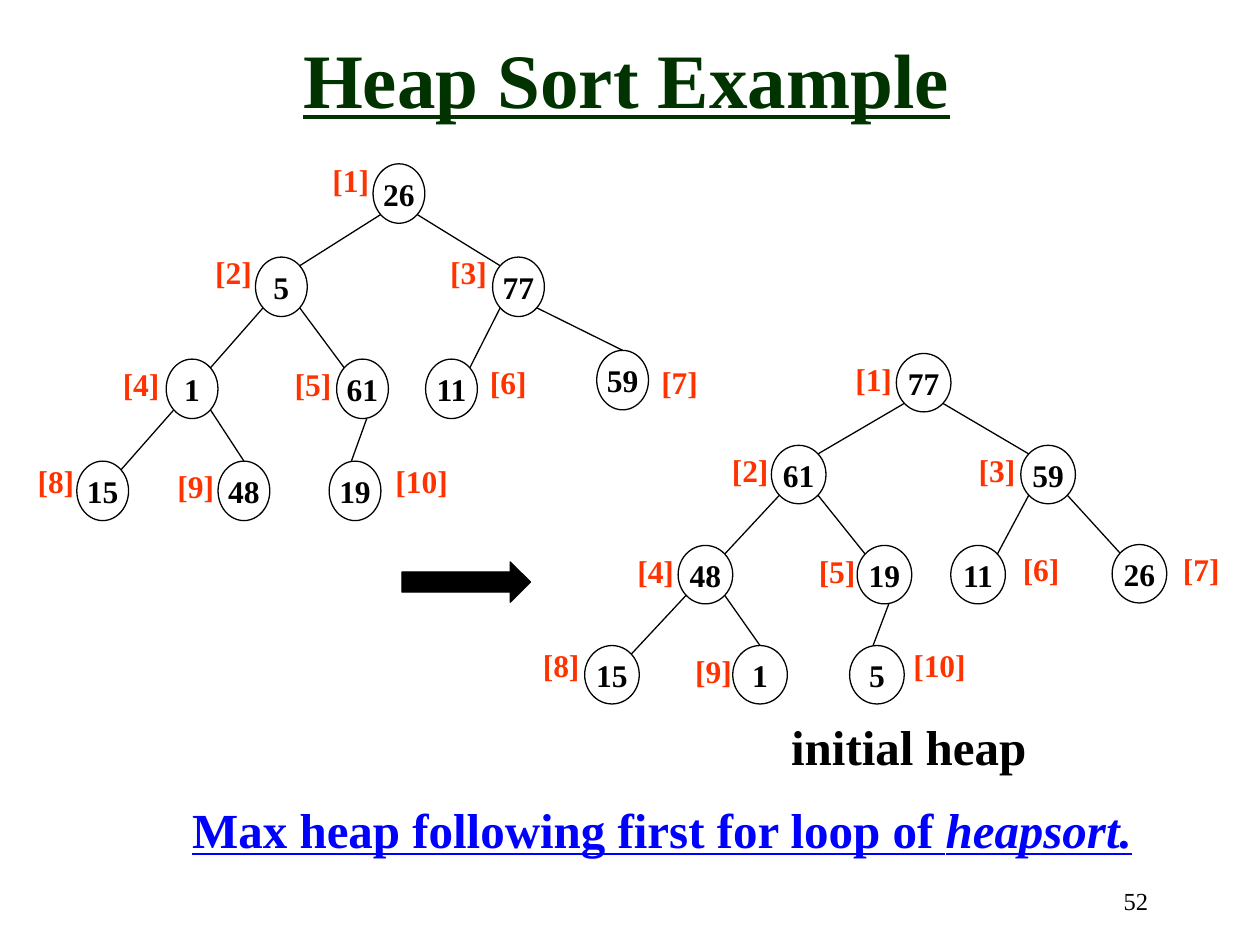
import pptx
import pptx.util
import pptx.dml.color
import pptx.enum.shapes
import pptx.enum.text
import lxml.etree

Pt = pptx.util.Pt
SHAPE = pptx.enum.shapes.MSO_SHAPE
ALIGN = pptx.enum.text.PP_ALIGN
MIDDLE = pptx.enum.text.MSO_ANCHOR.MIDDLE
FONT = "Times New Roman"
COLORS = {"ink": "000000", "label": "FF3300", "head": "003300", "note": "0000FF"}

# Heap nodes in index order: key, node left, node top, label left, label top
FIRST = {
    "size": (29.6, 34),
    "nodes": [
        ("26", 213.2, 93.6, 182.9, 88.6),
        ("5", 146, 146.9, 115.9, 141.1),
        ("77", 281.5, 146.9, 250.2, 141.1),
        ("1", 95, 205.2, 63.1, 205.2),
        ("61", 192.4, 205.2, 161.3, 205.2),
        ("11", 243.2, 205.2, 272.9, 203.8),
        ("59", 341, 200.2, 370.8, 203.8),
        ("15", 43.9, 263.5, 14.4, 260.6),
        ("48", 124.6, 263.5, 94.3, 263.5),
        ("19", 188.1, 263.5, 218.9, 260.6),
    ],
    "tops": {7, 9},  # children joined at the top centre
}
HEAP = {
    "size": (31.2, 33.4),
    "nodes": [
        ("77", 512.2, 202, 481.7, 202.3),
        ("61", 440.8, 254.5, 411.1, 254.2),
        ("59", 583.3, 254.5, 552.2, 254.2),
        ("48", 387.5, 311.7, 357.1, 311.8),
        ("19", 489.8, 311.7, 460.8, 311.8),
        ("11", 543.3, 311.7, 577.4, 311),
        ("26", 635.5, 311.2, 668.9, 311),
        ("15", 334.1, 368.9, 303.1, 365.8),
        ("1", 418.7, 368.9, 390.2, 368.9),
        ("5", 485.5, 368.9, 514.8, 365.8),
    ],
    "tops": {9},
}
NEAR, FAR = 0.146, 0.854  # where the diagonals meet the oval


def tint(name):
    return pptx.dml.color.RGBColor.from_string(COLORS[name])


def style(para, size, color, bold=True, line=None):
    font = para.font
    font.name, font.size, font.bold, font.underline = FONT, Pt(size), bold, line
    font.color.rgb = tint(color)


def outline(shape):
    shape.line.color.rgb = tint("ink")
    shape.line.width = Pt(0.75)


def add_text(slide, text, box, size, color, align=ALIGN.LEFT, bold=True, line=None):
    shape = slide.shapes.add_textbox(*map(Pt, box))
    shape.text_frame.word_wrap = False
    para = shape.text_frame.paragraphs[0]
    para.text, para.alignment = text, align
    style(para, size, color, bold, line)


def add_shape(slide, kind, box):
    shape = slide.shapes.add_shape(kind, *map(Pt, box))
    shape.shadow.inherit = False
    outline(shape)
    return shape


def add_node(slide, key, box):
    node = add_shape(slide, SHAPE.OVAL, box)
    node.fill.background()
    frame = node.text_frame
    frame.word_wrap, frame.vertical_anchor = False, MIDDLE
    para = frame.paragraphs[0]
    para.text, para.alignment = key, ALIGN.CENTER
    style(para, 18, "ink")


def add_edge(slide, start, end):
    kind = pptx.enum.shapes.MSO_CONNECTOR.STRAIGHT
    edge = slide.shapes.add_connector(kind, *map(Pt, start + end))
    outline(edge)
    props = edge.element.spPr
    lxml.etree.SubElement(props, pptx.oxml.ns.qn("a:effectLst"))


def add_tree(slide, tree):
    wide, high = tree["size"]
    nodes = tree["nodes"]

    def spot(index, across, down):
        left, top = nodes[index - 1][1:3]
        return left + across * wide, top + down * high

    for index, (key, left, top, tag_x, tag_y) in enumerate(nodes, 1):
        add_node(slide, key, (left, top, wide, high))
        tag_w = 36 if index < 10 else 44.6
        add_text(slide, f"[{index}]", (tag_x, tag_y, tag_w, 28.8), 18, "label")

    # The parent of node i is node i // 2; even children hang to the left
    for index in range(2, len(nodes) + 1):
        out, into = (FAR, NEAR) if index % 2 else (NEAR, FAR)
        start, end = spot(index // 2, out, FAR), spot(index, into, NEAR)
        if index in tree["tops"]:
            end = spot(index, 0.5, 0)
        if index == 10:
            start, end = spot(5, 0.58, 1), spot(10, 0.43, 0)
        add_edge(slide, start, end)


def main():
    deck = pptx.Presentation()
    deck.slide_width, deck.slide_height = Pt(720), Pt(540)
    slide = deck.slides.add_slide(deck.slide_layouts[5])

    # Closing remark in the title placeholder
    title = slide.shapes.title
    title.left, title.top, title.width, title.height = map(Pt, (66.2, 437.8, 624.2, 72))
    title.text_frame.vertical_anchor = MIDDLE
    para = title.text_frame.paragraphs[0]
    para.alignment = ALIGN.CENTER
    para.add_run().text = "Max heap following first for loop of "
    word = para.add_run()
    word.text, word.font.italic = "heapsort.", True
    style(para, 28, "note", line=True)

    # Heading, caption and page number
    add_text(slide, "Heap Sort Example", (164.2, 14.4, 387.4, 60.5), 44, "head",
             ALIGN.CENTER, line=True)
    add_text(slide, "initial heap", (445, 406.1, 150.5, 41), 28, "ink")
    add_text(slide, "52", (513.4, 502.6, 149.8, 36), 14, "ink", ALIGN.RIGHT, bold=False)

    # Both trees, with the arrow from one to the other
    for tree in (HEAP, FIRST):
        add_tree(slide, tree)
    arrow = add_shape(slide, SHAPE.RIGHT_ARROW, (229.7, 321.1, 73.4, 23))
    arrow.fill.solid()
    arrow.fill.fore_color.rgb = tint("ink")

    deck.save("out.pptx")


if __name__ == "__main__":
    main()
